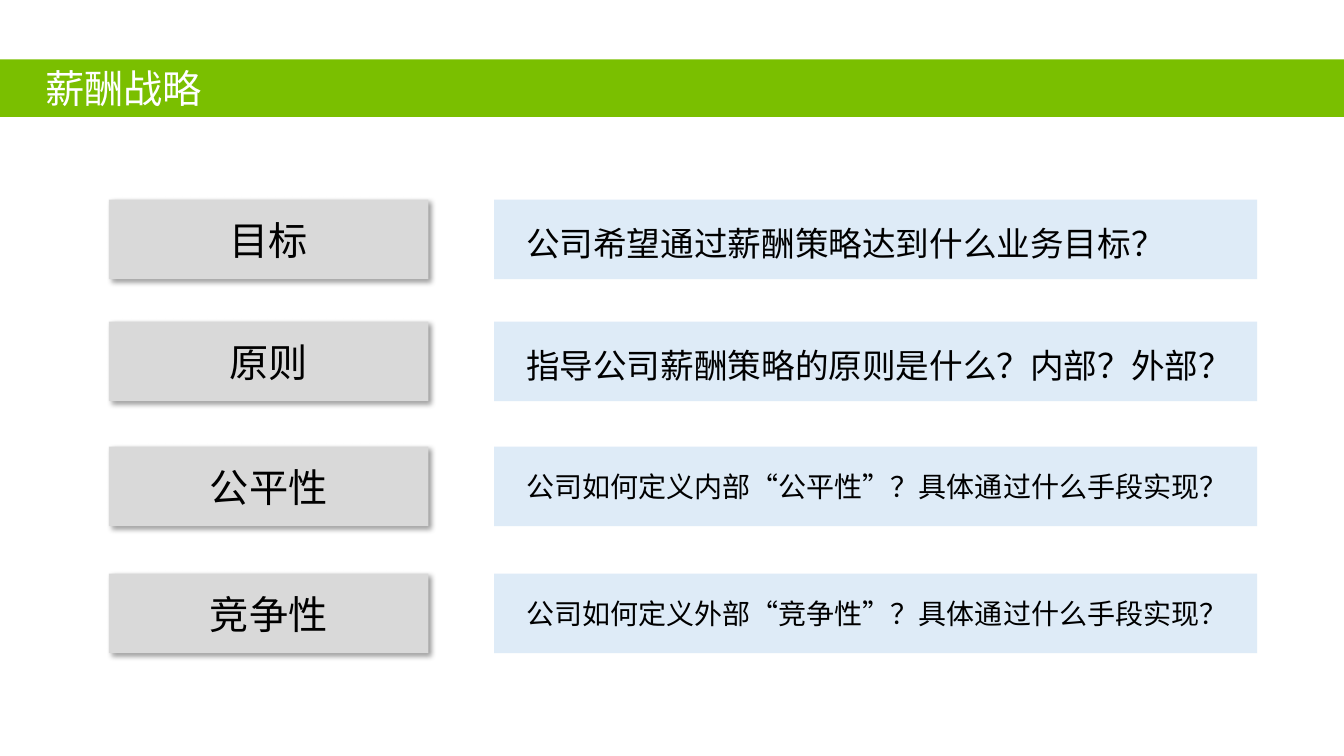
from lxml import etree
from pptx import Presentation
from pptx.dml.color import RGBColor
from pptx.enum.lang import MSO_LANGUAGE_ID
from pptx.enum.shapes import MSO_SHAPE
from pptx.enum.text import MSO_ANCHOR, PP_ALIGN
from pptx.oxml import parse_xml
from pptx.oxml.ns import nsdecls, qn
from pptx.util import Inches, Pt

RECT = MSO_SHAPE.RECTANGLE
TOP, MIDDLE = MSO_ANCHOR.TOP, MSO_ANCHOR.MIDDLE
LEFT, CENTER = PP_ALIGN.LEFT, PP_ALIGN.CENTER
CHINESE = MSO_LANGUAGE_ID.SIMPLIFIED_CHINESE

GREEN = RGBColor(0x7A, 0xBF, 0x00)
GRAY = RGBColor(0xD9, 0xD9, 0xD9)
PALE_BLUE = RGBColor(0xDE, 0xEB, 0xF7)
BLACK = RGBColor(0x00, 0x00, 0x00)
WHITE = RGBColor(0xFF, 0xFF, 0xFF)
FONT = "Noto Sans CJK SC"

SHADOW = f"""<a:effectLst {nsdecls("a")}>
  <a:outerShdw blurRad="50800" dist="38100" dir="2700000" algn="tl" rotWithShape="0">
    <a:srgbClr val="000000"><a:alpha val="40000"/></a:srgbClr>
  </a:outerShdw>
</a:effectLst>"""

# topic, question, question size, top of the row
ROWS = [
    ("目标", "公司希望通过薪酬策略达到什么业务目标？", 24, 1.98),
    ("原则", "指导公司薪酬策略的原则是什么？内部？外部？", 24, 3.19),
    ("公平性", "公司如何定义内部“公平性”？具体通过什么手段实现？", 20, 4.43),
    ("竞争性", "公司如何定义外部“竞争性”？具体通过什么手段实现？", 20, 5.69),
]
ROW_H = 0.79


def add_rect(left, top, width, height, color):
    sp = s.shapes.add_shape(RECT, Inches(left), Inches(top), Inches(width), Inches(height))
    sp.shadow.inherit = False
    sp.fill.solid()
    sp.fill.fore_color.rgb = color
    sp.line.fill.background()
    return sp


def write(sp, text, size, color=BLACK, align=LEFT, anchor=TOP):
    tf = sp.text_frame
    tf.word_wrap = True
    tf.vertical_anchor = anchor
    p = tf.paragraphs[0]
    p.alignment = align
    r = p.add_run()
    r.text = text
    font_format = {"name": FONT, "size": Pt(size), "language_id": CHINESE}
    for name, value in font_format.items():
        setattr(r.font, name, value)
    r.font.color.rgb = color
    etree.SubElement(r.font._element, qn("a:ea"), typeface=FONT)


prs = Presentation()
prs.slide_width = Inches(13.33)
prs.slide_height = Inches(7.5)
s = prs.slides.add_slide(prs.slide_layouts[6])

title_bar = add_rect(0, 0.59, 13.33, 0.57, GREEN)
title_bar.text_frame.margin_left = Inches(0.45)
write(title_bar, "薪酬战略", 28, WHITE)

for topic, question, size, top in ROWS:
    topic_box = add_rect(1.08, top, 3.17, ROW_H, GRAY)
    sp_pr = topic_box._element.spPr
    sp_pr.replace(sp_pr.find(qn("a:effectLst")), parse_xml(SHADOW))
    write(topic_box, topic, 28, align=CENTER, anchor=MIDDLE)

    add_rect(4.9, top, 7.57, ROW_H, PALE_BLUE)
    question_h = 0.5 if size == 24 else 0.44
    question_box = s.shapes.add_textbox(
        Inches(5.12), Inches(top + 0.18), Inches(7.15), Inches(question_h))
    write(question_box, question, size)

prs.save("out.pptx")
